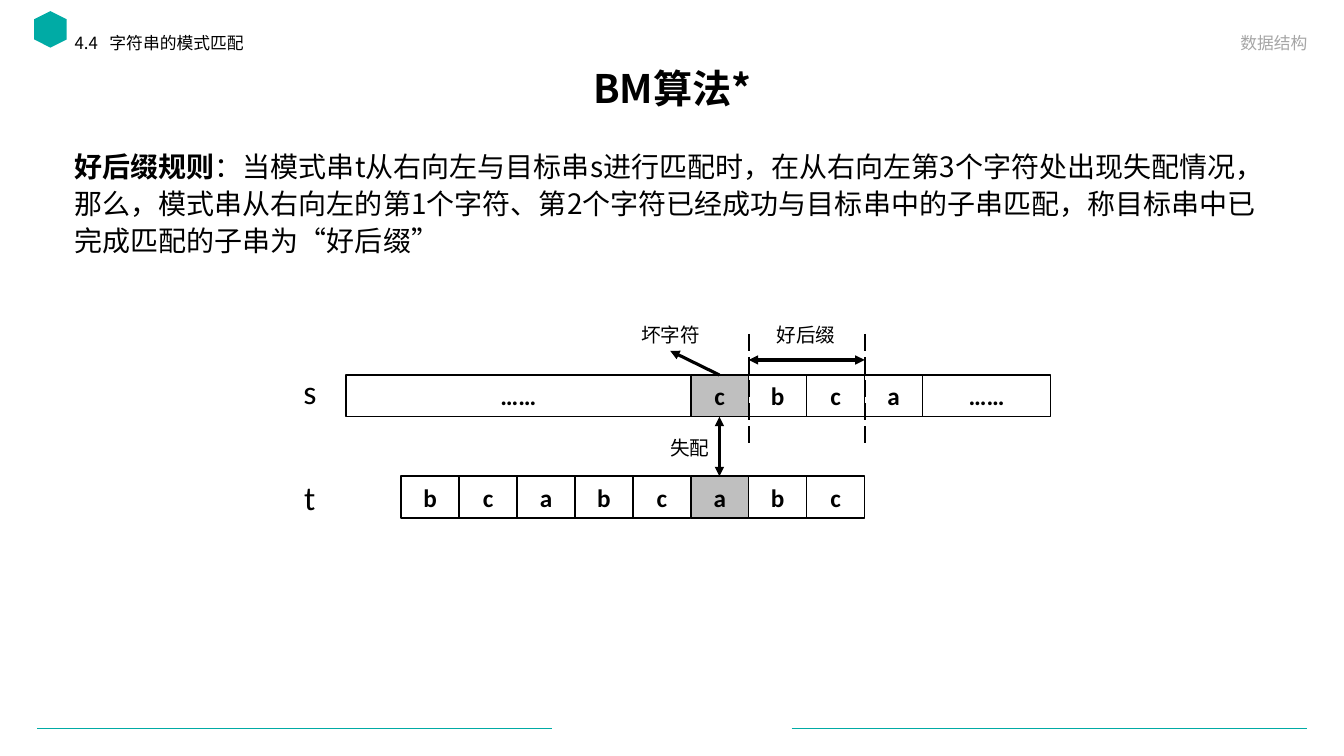
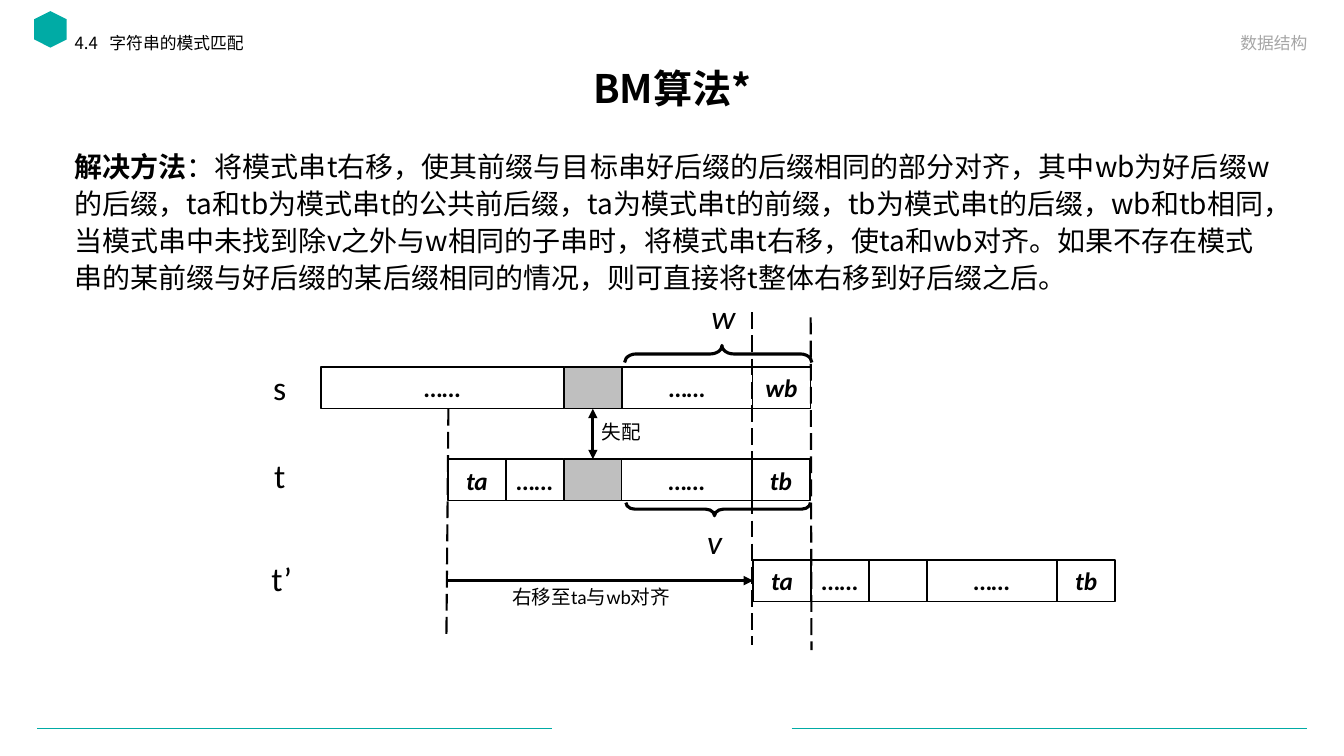
from pptx import Presentation
from pptx.dml.color import RGBColor
from pptx.enum.dml import MSO_LINE
from pptx.enum.shapes import MSO_CONNECTOR, MSO_SHAPE
from pptx.enum.text import MSO_ANCHOR, PP_ALIGN
from pptx.oxml.ns import qn
from pptx.util import Cm, Pt
from lxml.etree import SubElement

# Shared style
TEAL, BLACK, WHITE = "00ABA5", "000000", "FFFFFF"
GREY, PALE_TEXT = "BFBFBF", "A6A6A6"
CJK, LATIN = "Noto Sans CJK SC", "Calibri"
CELL, GAP, TALL = 1.46, 3.28, 1.05  # cell width, wide cell width, cell height
TITLE, COURSE = "BM算法*", "数据结构"
CHAPTER = "4.4\t字符串的模式匹配"
DOTS = "……"

# Content, lengths in cm
# rows: left, top, cells (text, width, shaded)
# labels: text, centre x, top, width, size, italic
# lines: x1, y1, x2, y2, kind
# braces: centre x, centre y, length, depth, rotation
SLIDES = [
    dict(
        lead="好后缀规则",
        body="：当模式串t从右向左与目标串s进行匹配时，在从右向左第3个字符处出现失配情况，"
             "那么，模式串从右向左的第1个字符、第2个字符已经成功与目标串中的子串匹配，"
             "称目标串中已完成匹配的子串为“好后缀”",
        italic=False,
        rows=[
            (8.72, 9.45, [(DOTS, 8.69, False), ("c", CELL, True), ("b", CELL, False),
                          ("c", CELL, False), ("a", CELL, False), (DOTS, 3.23, False)]),
            (10.11, 12, [(ch, CELL, i == 5) for i, ch in enumerate("bcabcabc")]),
        ],
        labels=[("s", 7.81, 9.22, 0.84, 24, False), ("t", 7.81, 11.89, 0.84, 24, False),
                ("失配", 17.39, 10.85, 1.5, 14, False),
                ("坏字符", 16.9, 8, 2, 14, False),
                ("好后缀", 20.31, 8, 2, 14, False)],
        lines=[(18.13, 10.5, 18.13, 12, "both"), (18.13, 9.45, 16.89, 8.84, "end"),
               (18.87, 8.41, 18.87, 11.28, "dash"), (21.79, 8.41, 21.79, 11.28, "dash"),
               (18.87, 9.07, 21.79, 9.07, "both")],
        braces=[],
    ),
    dict(
        lead="解决方法",
        body="：将模式串t右移，使其前缀与目标串好后缀的后缀相同的部分对齐，其中wb为好后缀w的后缀，"
             "ta和tb为模式串t的公共前后缀，ta为模式串t的前缀，tb为模式串t的后缀，wb和tb相同，"
             "当模式串中未找到除v之外与w相同的子串时，将模式串t右移，使ta和wb对齐。"
             "如果不存在模式串的某前缀与好后缀的某后缀相同的情况，则可直接将t整体右移到好后缀之后。",
        italic=True,
        rows=[
            (8.09, 9.25, [(DOTS, 6.13, False), ("", CELL, True),
                          (DOTS, GAP, False), ("wb", CELL, False)]),
            (11.29, 11.57, [("ta", CELL, False), (DOTS, CELL, False), ("", CELL, True),
                            (DOTS, GAP, False), ("tb", CELL, False)]),
            (18.98, 14.11, [("ta", CELL, False), (DOTS, CELL, False), ("", CELL, False),
                            (DOTS, GAP, False), ("tb", CELL, False)]),
        ],
        labels=[("s", 7.05, 9.12, 0.84, 24, False), ("t", 7.05, 11.33, 0.84, 24, False),
                ("t’", 7.1, 13.94, 1.04, 24, False),
                ("w", 18.23, 7.34, 0.94, 24, True), ("v", 18.01, 13, 1.68, 24, True),
                ("失配", 15.66, 10.46, 1.5, 14, False),
                ("右移至ta与wb对齐", 14.9, 14.61, 4.01, 14, False)],
        lines=[(14.94, 10.3, 14.94, 11.57, "both"), (11.3, 10.3, 11.25, 16.03, "dash"),
               (11.3, 14.63, 18.98, 14.63, "end"), (18.95, 7.87, 18.95, 16.26, "dash"),
               (20.43, 8, 20.45, 16.38, "dash")],
        braces=[(18.1, 8.92, 4.72, 0.43, 90), (18.1, 12.83, 4.65, 0.33, 270)],
    ),
]


def rgb(value):
    return RGBColor.from_string(value)


def add_run(p, text, size=18, color=BLACK, bold=False, italic=False, font=LATIN):
    r = p.add_run()
    r.text = text
    r.font.size, r.font.bold, r.font.italic = Pt(size), bold, italic
    r.font.name = font
    r.font.color.rgb = rgb(color)
    if font == CJK:
        SubElement(r.font._element, qn("a:ea"), typeface=font)
    return r


def add_text(s, text, x, y, w, h, align=PP_ALIGN.LEFT, anchor=MSO_ANCHOR.TOP,
             inset=0.25, spacing=None, tab=None, **fmt):
    tf = s.shapes.add_textbox(Cm(x), Cm(y), Cm(w), Cm(h)).text_frame
    tf.word_wrap, tf.vertical_anchor = True, anchor
    tf.margin_left = tf.margin_right = Cm(inset)
    p = tf.paragraphs[0]
    p.alignment = align
    if spacing:
        p.line_spacing = spacing
    if tab:
        stops = SubElement(p._p.get_or_add_pPr(), qn("a:tabLst"))
        SubElement(stops, qn("a:tab"), pos=str(Cm(tab)), algn="l")
    add_run(p, text, **fmt)
    return p


def add_shape(s, kind, x, y, w, h, fill=None, line=None, width=1):
    sp = s.shapes.add_shape(kind, Cm(x), Cm(y), Cm(w), Cm(h))
    sp.shadow.inherit = False
    if fill:
        sp.fill.solid()
        sp.fill.fore_color.rgb = rgb(fill)
    else:
        sp.fill.background()
    if line:
        sp.line.color.rgb = rgb(line)
        sp.line.width = Pt(width)
    else:
        sp.line.fill.background()
    return sp


def add_line(s, x1, y1, x2, y2, kind="plain", color=BLACK, width=2.25):
    c = s.shapes.add_connector(MSO_CONNECTOR.STRAIGHT, Cm(x1), Cm(y1), Cm(x2), Cm(y2))
    c.line.color.rgb = rgb(color)
    c.line.width = Pt(1.5 if kind == "dash" else width)
    if kind == "dash":
        c.line.dash_style = MSO_LINE.LONG_DASH
    ends = {"both": ("headEnd", "tailEnd"), "end": ("tailEnd",)}.get(kind, ())
    for end in ends:
        SubElement(c.line._get_or_add_ln(), qn("a:" + end), type="triangle")
    SubElement(c._element.spPr, qn("a:effectLst"))


def add_row(s, x, y, cells, italic):
    for text, width, shaded in cells:
        sp = add_shape(s, MSO_SHAPE.RECTANGLE, x, y, width, TALL,
                       fill=GREY if shaded else WHITE, line=BLACK)
        x += width
        if text:
            tf = sp.text_frame
            tf.margin_left = tf.margin_right = 0
            tf.vertical_anchor = MSO_ANCHOR.MIDDLE
            tf.paragraphs[0].alignment = PP_ALIGN.CENTER
            add_run(tf.paragraphs[0], text, bold=True, italic=italic)


def add_frame(s):
    # Footer rules, emblem, title and header texts
    for left in (0.94, 19.95):
        add_line(s, left, 18.35, left + 12.98, 18.35, color=TEAL, width=0.75)
    emblem = add_shape(s, MSO_SHAPE.HEXAGON, 0.81, 0.33, 0.92, 0.82, fill=TEAL)
    emblem.rotation = 90
    add_text(s, TITLE, 2.34, 1.57, 29.21, 1.45, align=PP_ALIGN.CENTER,
             anchor=MSO_ANCHOR.MIDDLE, spacing=0.9, size=28, bold=True, font=CJK)
    add_text(s, CHAPTER, 1.63, 0.76, 13.51, 0.91, spacing=0.9, tab=0.88, size=12, font=CJK)
    add_text(s, COURSE, 18.87, 0.56, 14.33, 0.89, align=PP_ALIGN.RIGHT,
             anchor=MSO_ANCHOR.BOTTOM, size=12, color=PALE_TEXT, font=CJK)


def build_slide(prs, content):
    s = prs.slides.add_slide(prs.slide_layouts[6])
    add_frame(s)
    p = add_text(s, content["lead"], 1.63, 3.56, 30.71, 5, spacing=1.1,
                 size=20, bold=True, font=CJK)
    add_run(p, content["body"], size=20, font=CJK)
    # Diagram
    for x, y, cells in content["rows"]:
        add_row(s, x, y, cells, content["italic"])
    for line in content["lines"]:
        add_line(s, *line)
    for cx, cy, length, depth, turn in content["braces"]:
        sp = add_shape(s, MSO_SHAPE.LEFT_BRACE, cx - depth / 2, cy - length / 2,
                       depth, length, line=BLACK, width=2.25)
        sp.rotation = turn
        sp.adjustments[0], sp.adjustments[1] = 0.68, 0.48
    for text, cx, top, width, size, italic in content["labels"]:
        add_text(s, text, cx - width / 2, top, width, size * 0.05, inset=0,
                 align=PP_ALIGN.CENTER, size=size, italic=italic)


def main():
    prs = Presentation()
    prs.slide_width, prs.slide_height = Cm(33.87), Cm(19.05)
    for content in SLIDES:
        build_slide(prs, content)
    prs.save("out.pptx")


if __name__ == "__main__":
    main()
